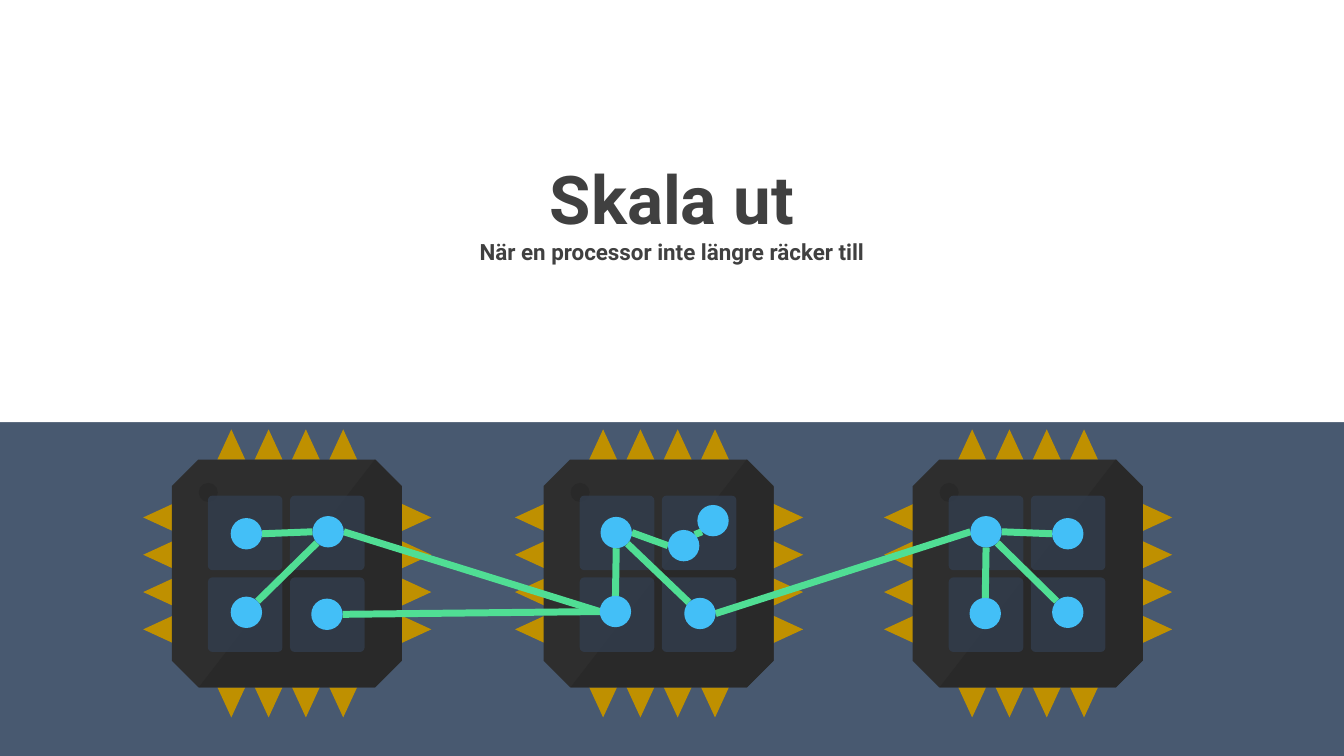
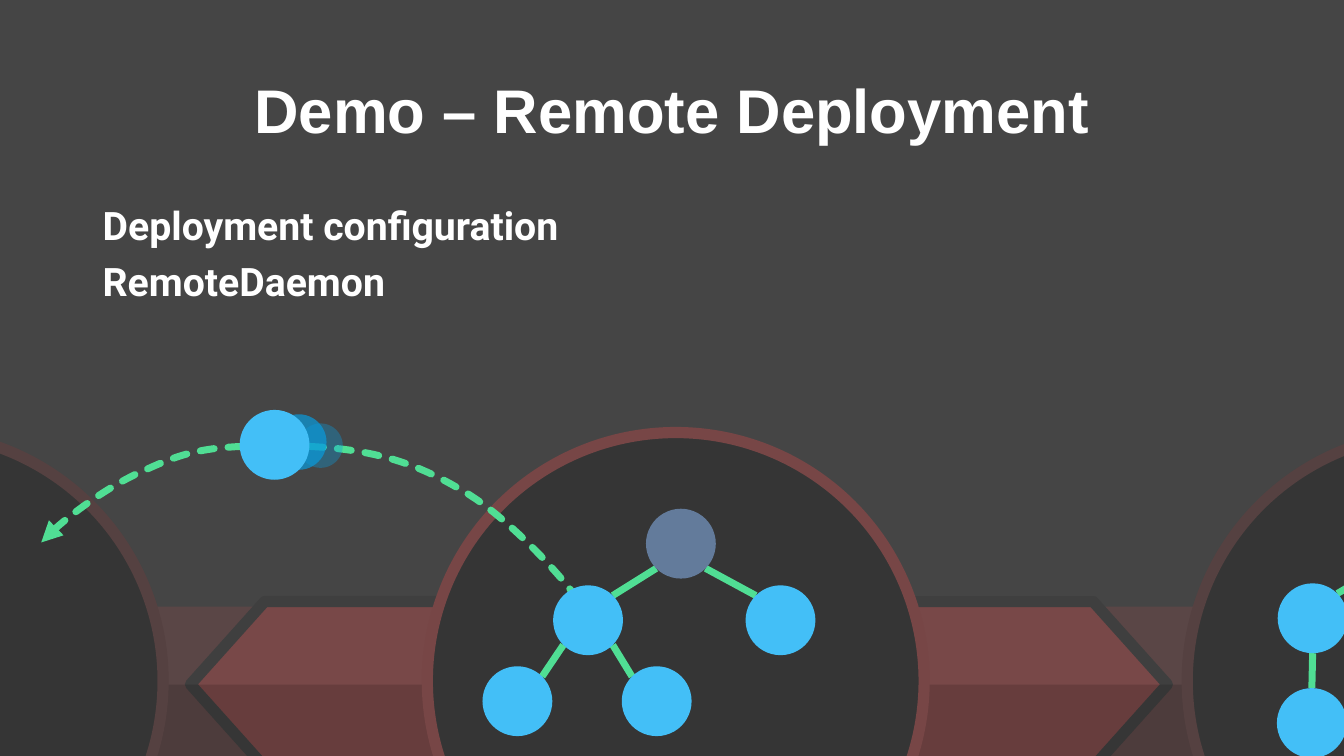
from dataclasses import dataclass
from math import sqrt

from lxml import etree
from pptx import Presentation
from pptx.dml.color import RGBColor
from pptx.enum.dml import MSO_LINE
from pptx.enum.shapes import MSO_CONNECTOR, MSO_SHAPE
from pptx.enum.text import MSO_ANCHOR, PP_ALIGN
from pptx.oxml.ns import qn
from pptx.util import Cm, Pt

RECT, OVAL = MSO_SHAPE.RECTANGLE, MSO_SHAPE.OVAL
ROUND, OCTAGON, ARROW = MSO_SHAPE.ROUNDED_RECTANGLE, MSO_SHAPE.OCTAGON, MSO_SHAPE.DOWN_ARROW
STRAIGHT, DASH = MSO_CONNECTOR.STRAIGHT, MSO_LINE.SQUARE_DOT
LEFT, CENTER = PP_ALIGN.LEFT, PP_ALIGN.CENTER
TOP, MIDDLE = MSO_ANCHOR.TOP, MSO_ANCHOR.MIDDLE
WIDE, HIGH = 33.87, 19.05


@dataclass(frozen=True)
class Theme:
    slate: str = "485970"
    dark: str = "454545"
    white: str = "FFFFFF"
    ink: str = "404040"
    black: str = "000000"
    gold: str = "BF9000"
    body: str = "2E2E2E"
    shade: str = "292929"
    core: str = "333F50"
    link: str = "50DE94"
    node: str = "43BFF7"
    trail: str = "099BDD"
    root: str = "637B9B"
    stripe: str = "DB5151"
    arrow: str = "8C4A4A"
    edge: str = "3F3F3F"
    disc: str = "353535"
    rim: str = "774646"
    dim: str = "554141"
    font: str = "Roboto"
    head: str = "Arial"
    hero: int = 48
    title: int = 44
    list: int = 28
    sub: int = 16
    thin: int = 5
    thick: int = 8


T = Theme()


# Drawing helpers
def paint(shape, fill=None, alpha=100, line=None, width=T.thick):
    shape.shadow.inherit = False
    if fill:
        shape.fill.solid()
        shape.fill.fore_color.rgb = RGBColor.from_string(fill)
        if alpha < 100:
            color = shape._element.spPr.find(qn("a:solidFill"))[0]
            etree.SubElement(color, qn("a:alpha"), val=str(alpha * 1000))
    else:
        shape.fill.background()
    if line:
        shape.line.color.rgb = RGBColor.from_string(line)
        shape.line.width = Pt(width)
    else:
        shape.line.fill.background()
    return shape


def draw(area, kind, x, y, w, h, adj=(), turn=0, **look):
    shape = area.add_shape(kind, Cm(x), Cm(y), Cm(w), Cm(h))
    for i, value in enumerate(adj):
        shape.adjustments[i] = value
    shape.rotation = turn
    return paint(shape, **look)


def trace(area, paths, closed=True, **look):
    form = None
    for path in paths:
        pts = [(Cm(x), Cm(y)) for x, y in path]
        if form is None:
            form = area.build_freeform(*pts[0])
        else:
            form.move_to(*pts[0])
        form.add_line_segments(pts[1:], close=closed)
    return paint(form.convert_to_shape(), **look)


def write(shape, rows, font=T.font, color=T.white, align=LEFT, anchor=TOP,
          lead=None, gap=0, soft=False):
    """Rows are (text, size); soft rows share one paragraph."""
    frame = shape.text_frame
    frame.word_wrap = True
    frame.vertical_anchor = anchor
    para = frame.paragraphs[0]
    for i, (text, size) in enumerate(rows):
        if i and soft:
            para.add_line_break()
        elif i:
            para = frame.add_paragraph()
            para.space_before = Pt(gap)
        para.alignment = align
        para.line_spacing = lead
        run = para.add_run()
        run.text = text
        run.font.name, run.font.size, run.font.bold = font, Pt(size), True
        run.font.color.rgb = RGBColor.from_string(color)


def label(area, x, y, w, h, rows, **form):
    write(area.add_textbox(Cm(x), Cm(y), Cm(w), Cm(h)), rows, **form)


# Node graphs
DIAG = sqrt(0.5)
SITES = {"N": (0, -1), "S": (0, 1), "W": (-1, 0), "E": (1, 0),
         "NW": (-DIAG, -DIAG), "NE": (DIAG, -DIAG),
         "SW": (-DIAG, DIAG), "SE": (DIAG, DIAG)}


def site(spot, side, size):
    dx, dy = SITES[side]
    return spot[0] + dx * size / 2, spot[1] + dy * size / 2


def join(area, start, end):
    line = area.add_connector(STRAIGHT, *(Cm(v) for v in (*start, *end)))
    line.line.color.rgb = RGBColor.from_string(T.link)
    line.line.width = Pt(T.thin)
    etree.SubElement(line._element.spPr, qn("a:effectLst"))


def ball(area, spot, size, fill=T.node, alpha=100):
    x, y = spot
    draw(area, OVAL, x - size / 2, y - size / 2, size, size, fill=fill, alpha=alpha)


def graph(area, nodes, links, size, fills):
    for a, out, b, into in links:
        join(area, site(nodes[a], out, size), site(nodes[b], into, size))
    for name, spot in nodes.items():
        ball(area, spot, size, fills.get(name, T.node))


# Processor chip in a square box
def chip(area, x, y, box=7.26):
    group = area.add_group_shape().shapes
    pin, half, far = 0.76, 0.35, box - 0.76
    pins = []
    for i in range(4):
        mid = 2.22 + 0.94 * i
        for base, tip in ((pin, 0), (far, box)):
            pins.append([(x + mid - half, y + base), (x + mid + half, y + base),
                         (x + mid, y + tip)])
            pins.append([(x + base, y + mid - half), (x + base, y + mid + half),
                         (x + tip, y + mid)])
    trace(group, pins, fill=T.gold)
    draw(group, OCTAGON, x + 0.72, y + pin, 5.8, 5.74, adj=[0.117], fill=T.body)
    half_shade = [(1.4, far), (5.84, pin), (6.52, 1.45), (6.52, 5.82), (5.84, far)]
    trace(group, [[(x + dx, y + dy) for dx, dy in half_shade]], fill=T.shade)
    draw(group, OVAL, x + 1.4, y + 1.35, 0.48, 0.48, fill=T.shade)
    for row in range(2):
        for col in range(2):
            draw(group, ROUND, x + 1.63 + 2.07 * col, y + 1.67 + 2.06 * row,
                 1.88, 1.88, adj=[0.062], fill=T.core, alpha=75)


# Dashed path of cubic curves
def bend(area, start, curves, tip=False):
    path, steps = [start], 16
    for curve in curves:
        pts = [path[-1], *curve]
        for i in range(1, steps + 1):
            t = i / steps
            parts = ((1 - t) ** 3, 3 * t * (1 - t) ** 2, 3 * t * t * (1 - t), t ** 3)
            path.append(tuple(sum(k * p[axis] for k, p in zip(parts, pts))
                              for axis in (0, 1)))
    shape = trace(area, [path], closed=False, line=T.link, width=T.thin)
    shape.line.dash_style = DASH
    stroke = shape.line._get_or_add_ln()
    stroke.set("cap", "rnd")
    if tip:
        etree.SubElement(stroke, qn("a:tailEnd"), type="triangle")


# Backdrop of discs and arrows
def scene(area, y):
    draw(area, RECT, 0, y + 4.39, WIDE, HIGH - y - 4.39, fill=T.stripe, alpha=14)
    for x, turn in ((23.83, 270), (6.22, 90)):
        draw(area, ARROW, x, y + 2.84, 4.17, 7.01, adj=[1, 0.448], turn=turn,
             fill=T.arrow, alpha=61, line=T.edge)
    draw(area, RECT, 0, y + 6.35, 33.55, HIGH - y - 6.35, fill=T.black, alpha=14)
    for x, rim in ((29.92, T.dim), (-8.41, T.dim), (10.77, T.rim)):
        draw(area, OVAL, x, y, 12.52, 12.52, fill=T.disc, line=rim)


def blank(deck, color):
    slide = deck.slides.add_slide(deck.slide_layouts[6])
    slide.background.fill.solid()
    slide.background.fill.fore_color.rgb = RGBColor.from_string(color)
    return slide.shapes


def scale(deck):
    area = blank(deck, T.slate)
    for x in (22.28, 12.98, 3.61):
        chip(area, x, 10.82)
    nodes = {
        "a1": (6.21, 13.45), "a2": (8.27, 13.4), "a3": (6.21, 15.43), "a4": (8.24, 15.48),
        "b1": (15.53, 13.42), "b2": (17.97, 13.12), "b3": (15.51, 15.41),
        "b4": (17.64, 15.46), "b5": (17.23, 13.75),
        "c1": (24.85, 13.4), "c2": (26.91, 13.45), "c3": (24.83, 15.46), "c4": (26.91, 15.43),
    }
    links = [
        ("a2", "W", "a1", "E"), ("a2", "SW", "a3", "NE"),
        ("b3", "W", "a2", "E"), ("b3", "W", "a4", "E"),
        ("b1", "S", "b3", "N"), ("b1", "SE", "b4", "NW"),
        ("b5", "W", "b1", "E"), ("b5", "NE", "b2", "SW"), ("c1", "W", "b4", "E"),
        ("c1", "S", "c3", "N"), ("c1", "SE", "c4", "NW"), ("c1", "E", "c2", "W"),
    ]
    graph(area.add_group_shape().shapes, nodes, links, 0.79, {})
    panel = draw(area, RECT, 0, 0, WIDE, 10.64, fill=T.white)
    write(panel, [("Skala ut", T.hero), ("När en processor inte längre räcker till", T.sub)],
          color=T.ink, align=CENTER, anchor=MIDDLE, soft=True)


def demo(deck):
    area = blank(deck, T.dark)
    label(area, 2.34, 1.02, 29.21, 3.68, [("Demo – Remote Deployment", T.title)],
          font=T.head, align=CENTER, anchor=MIDDLE, lead=0.9)
    label(area, 2.34, 5.08, 29.21, 4.7,
          [("Deployment configuration", T.list), ("RemoteDaemon", T.list)],
          lead=0.9, gap=10)
    scene(area, 10.9)
    size = 1.76
    # Route of the moving node
    bend(area, (7.8, 11.25), [((9.45, 11.33), (10.49, 11.68), (11.58, 12.32)),
                              ((12.7, 12.93), (14.07, 14.43), (14.45, 14.96))])
    bend(area, (6.1, 11.25), [((4.95, 11.3), (4.45, 11.48), (3.56, 11.89)),
                              ((2.64, 12.29), (1.47, 13.18), (1.04, 13.67))], tip=True)
    # Trees
    nodes = {"root": (17.16, 13.7), "left": (14.82, 15.63), "right": (19.67, 15.63),
             "leaf1": (13.04, 17.67), "leaf2": (16.55, 17.67),
             "far1": (33.08, 15.58), "far2": (33.06, 18.22)}
    links = [("root", "SW", "left", "NE"), ("root", "SE", "right", "NW"),
             ("left", "SW", "leaf1", "NE"), ("left", "SE", "leaf2", "NW"),
             ("far1", "S", "far2", "N")]
    join(area, site(nodes["far1"], "NE", size), (34.8, 14.3))
    graph(area, nodes, links, size, {"root": T.root})
    # Moving node and its trail
    ball(area, (8.08, 11.23), 1.12, T.trail, 35)
    ball(area, (7.53, 11.14), 1.4, T.trail, 70)
    ball(area, (6.92, 11.21), size)


def main():
    deck = Presentation()
    deck.slide_width, deck.slide_height = Cm(WIDE), Cm(HIGH)
    scale(deck)
    demo(deck)
    deck.save("out.pptx")


if __name__ == "__main__":
    main()
